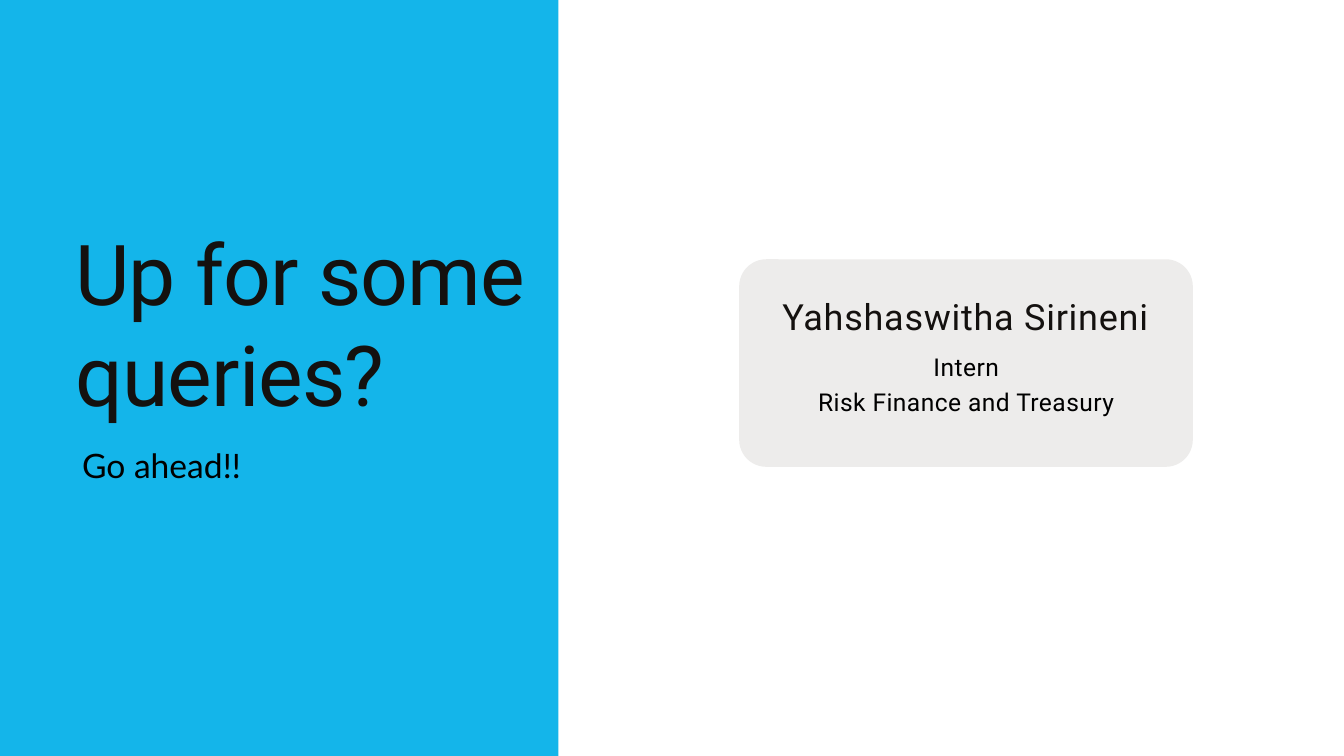
from collections import namedtuple

from lxml.etree import SubElement
from pptx import Presentation
from pptx.dml.color import RGBColor
from pptx.enum.shapes import MSO_SHAPE as Preset
from pptx.enum.text import MSO_ANCHOR as Anchor, PP_ALIGN as Align
from pptx.oxml.ns import qn
from pptx.util import Inches, Pt

COLORS = {"panel": "00AFE9", "card": "EDECEB", "ink": "14110F", "black": "000000"}
STYLES = {
    "title": dict(name="Roboto", size=Pt(90), color="ink", spacing=-0.9, leading=108, align=Align.LEFT),
    "prompt": dict(name="Lato", size=Pt(36), color="black", spacing=0, leading=50.4, align=Align.LEFT),
    "person": dict(name="Roboto", size=Pt(38.6), color="ink", spacing=0.8, leading=54.1, align=Align.LEFT),
    "role": dict(name="Roboto", size=Pt(26.3), color="black", spacing=0.5, leading=36.9, align=Align.CENTER),
}
Box = namedtuple("Box", "left top width height")
SLIDE = Box(0, 0, 20, 11.25)


def part(box, left, top, width, height):
    """Return the box at the given shares of another box."""
    return Box(box.left + left * box.width, box.top + top * box.height,
               width * box.width, height * box.height)


def add_block(slide, preset, box, color, opacity=100):
    block = slide.shapes.add_shape(preset, *map(Inches, box))
    block.shadow.inherit = False
    block.fill.solid()
    block.fill.fore_color.rgb = RGBColor.from_string(COLORS[color])
    block.line.fill.background()
    if opacity < 100:
        tint = block.fill._xPr.find(".//" + qn("a:srgbClr"))
        SubElement(tint, qn("a:alpha")).set("val", str(opacity * 1000))
    return block


def add_text(slide, box, lines, style):
    look = STYLES[style]
    frame = slide.shapes.add_textbox(*map(Inches, box)).text_frame
    layout = dict(word_wrap=True, vertical_anchor=Anchor.TOP, margin_left=0,
                  margin_right=0, margin_top=0, margin_bottom=0)
    for key, value in layout.items():
        setattr(frame, key, value)
    for index, line in enumerate(lines):
        paragraph = frame.add_paragraph() if index else frame.paragraphs[0]
        paragraph.alignment = look["align"]
        paragraph.line_spacing = Pt(look["leading"])
        run = paragraph.add_run()
        run.text = line
        for key in ("name", "size"):
            setattr(run.font, key, look[key])
        run.font.color.rgb = RGBColor.from_string(COLORS[look["color"]])
        run._r.get_or_add_rPr().set("spc", str(round(look["spacing"] * 100)))


def question_panel(slide, box):
    add_block(slide, Preset.RECTANGLE, box, "panel", opacity=92)
    add_text(slide, part(box, 0.135, 0.293, 0.81, 0.4), ["Up for some queries?"], "title")
    add_text(slide, part(box, 0.147, 0.58, 0.3, 0.062), ["Go ahead!!"], "prompt")


def contact_card(slide, box):
    card = add_block(slide, Preset.ROUNDED_RECTANGLE, box, "card")
    card.adjustments[0] = 0.13
    add_text(slide, part(box, 0.095, 0.136, 0.843, 0.23), ["Yahshaswitha Sirineni"], "person")
    add_text(slide, part(box, 0.079, 0.424, 0.843, 0.32),
             ["Intern", "Risk Finance and Treasury"], "role")


def main():
    deck = Presentation()
    deck.slide_width, deck.slide_height = Inches(SLIDE.width), Inches(SLIDE.height)
    slide = deck.slides.add_slide(deck.slide_layouts[6])
    question_panel(slide, part(SLIDE, 0, 0, 0.4155, 1))
    contact_card(slide, part(SLIDE, 0.55, 0.343, 0.3375, 0.2745))
    deck.save("out.pptx")


if __name__ == "__main__":
    main()
